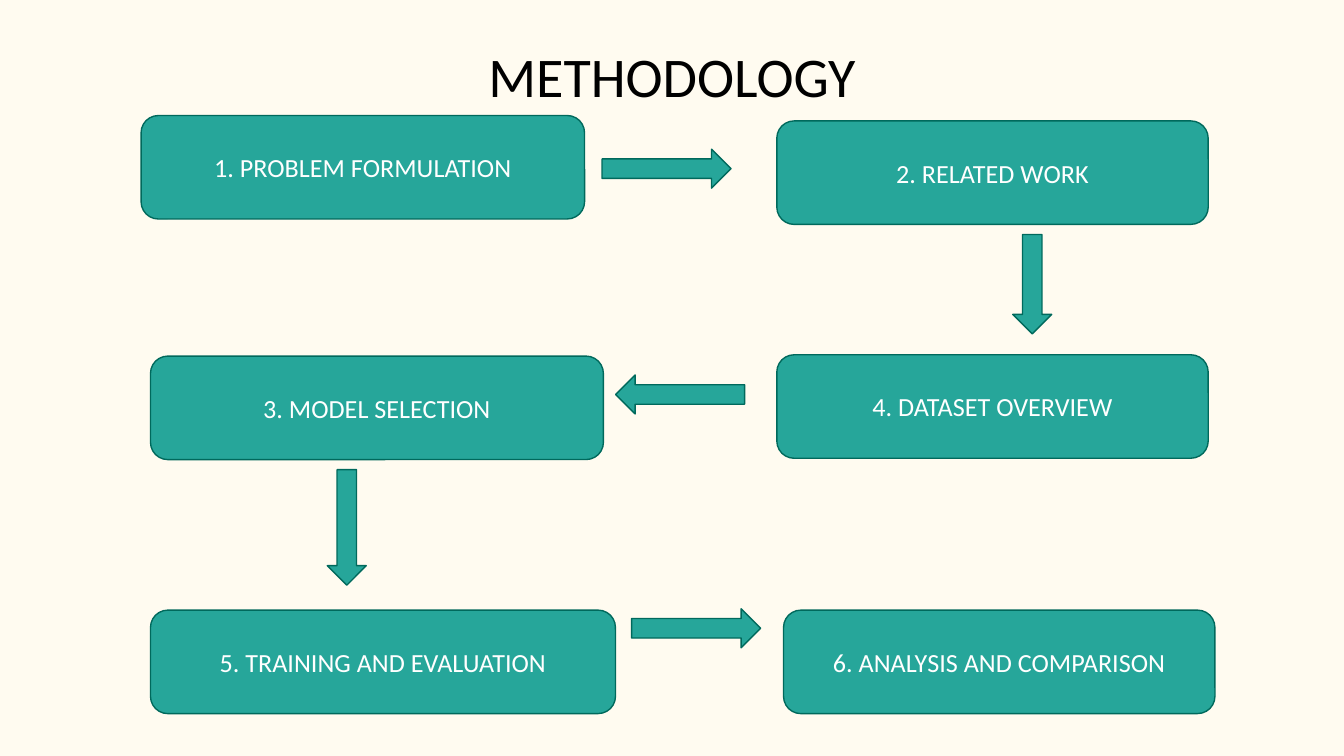
import dataclasses

import pptx
import pptx.dml.color
import pptx.enum.shapes
import pptx.enum.text
import pptx.util

KIND = pptx.enum.shapes.MSO_SHAPE
ALIGN = pptx.enum.text.PP_ALIGN
ANCHOR = pptx.enum.text.MSO_ANCHOR

# Square grid: 100 columns across the slide, 56.25 rows down
WIDE = pptx.util.Inches(10)
CELL = WIDE / 100
ROWS = 56.25

BACK, FILL, EDGE, INK, PALE = "FFFBF0", "26A69A", "00695C", "000000", "FFFFFF"
STEP_H, ARROW_H = 7.7, 2.9
INSET = pptx.util.Inches(0.1)
FRAME = {
    "margin_left": INSET, "margin_right": INSET,
    "margin_top": INSET, "margin_bottom": INSET,
    "word_wrap": True, "auto_size": pptx.enum.text.MSO_AUTO_SIZE.NONE,
}


@dataclasses.dataclass
class Step:
    text: str
    col: float
    row: float
    wide: float


@dataclasses.dataclass
class Arrow:
    col: float
    row: float
    long: float
    turn: int = 0


STEPS = [
    Step("1. PROBLEM FORMULATION", 10.5, 8.6, 33),
    Step("2. RELATED WORK", 57.8, 9, 32.1),
    Step("3. MODEL SELECTION", 11.2, 26.5, 33.7),
    Step("4. DATASET OVERVIEW", 57.8, 26.4, 32.1),
    Step("5. TRAINING AND EVALUATION", 11.2, 45.4, 34.6),
    Step("6. ANALYSIS AND COMPARISON", 58.3, 45.4, 32.1),
]
ARROWS = [
    Arrow(44.8, 11.1, 9.6),
    Arrow(73.1, 19.7, 7.4, 90),
    Arrow(45.8, 27.9, 9.6, 180),
    Arrow(21.5, 37.8, 8.6, 90),
    Arrow(47, 45.3, 9.6),
]


def span(count: float) -> int:
    return round(count * CELL)


def paint(form, code: str) -> None:
    form.rgb = pptx.dml.color.RGBColor.from_string(code)


def fill(form, code: str) -> None:
    form.solid()
    paint(form.fore_color, code)


def assign(item, values: dict) -> None:
    for name, value in values.items():
        setattr(item, name, value)


def write(shape, text: str, size: int, code: str, anchor) -> None:
    frame = shape.text_frame
    frame.text = text
    assign(frame, FRAME | {"vertical_anchor": anchor})
    para = frame.paragraphs[0]
    para.alignment = ALIGN.CENTER
    font = para.runs[0].font
    assign(font, {"name": "Calibri", "size": pptx.util.Pt(size)})
    paint(font.color, code)


def block(slide, kind, col: float, row: float, wide: float, high: float):
    shape = slide.shapes.add_shape(kind, *map(span, (col, row, wide, high)))
    shape.shadow.inherit = False
    fill(shape.fill, FILL)
    paint(shape.line.color, EDGE)
    shape.line.width = pptx.util.Pt(0.75)
    return shape


def draw_step(slide, step: Step) -> None:
    shape = block(slide, KIND.ROUNDED_RECTANGLE, step.col, step.row, step.wide, STEP_H)
    write(shape, step.text, 14, PALE, ANCHOR.MIDDLE)


def draw_arrow(slide, arrow: Arrow) -> None:
    shape = block(slide, KIND.RIGHT_ARROW, arrow.col, arrow.row, arrow.long, ARROW_H)
    shape.rotation = arrow.turn


def main() -> None:
    deck = pptx.Presentation()
    assign(deck, {"slide_width": WIDE, "slide_height": span(ROWS)})
    slide = deck.slides.add_slide(deck.slide_layouts[5])
    fill(slide.background.fill, BACK)

    # Title
    title = slide.shapes.title
    assign(title, {"left": span(3.4), "top": span(2.1),
                   "width": span(93.2), "height": span(6.7)})
    write(title, "METHODOLOGY", 30, INK, ANCHOR.TOP)

    # Flow of steps
    for step in STEPS:
        draw_step(slide, step)
    for arrow in ARROWS:
        draw_arrow(slide, arrow)

    deck.save("out.pptx")


if __name__ == "__main__":
    main()
